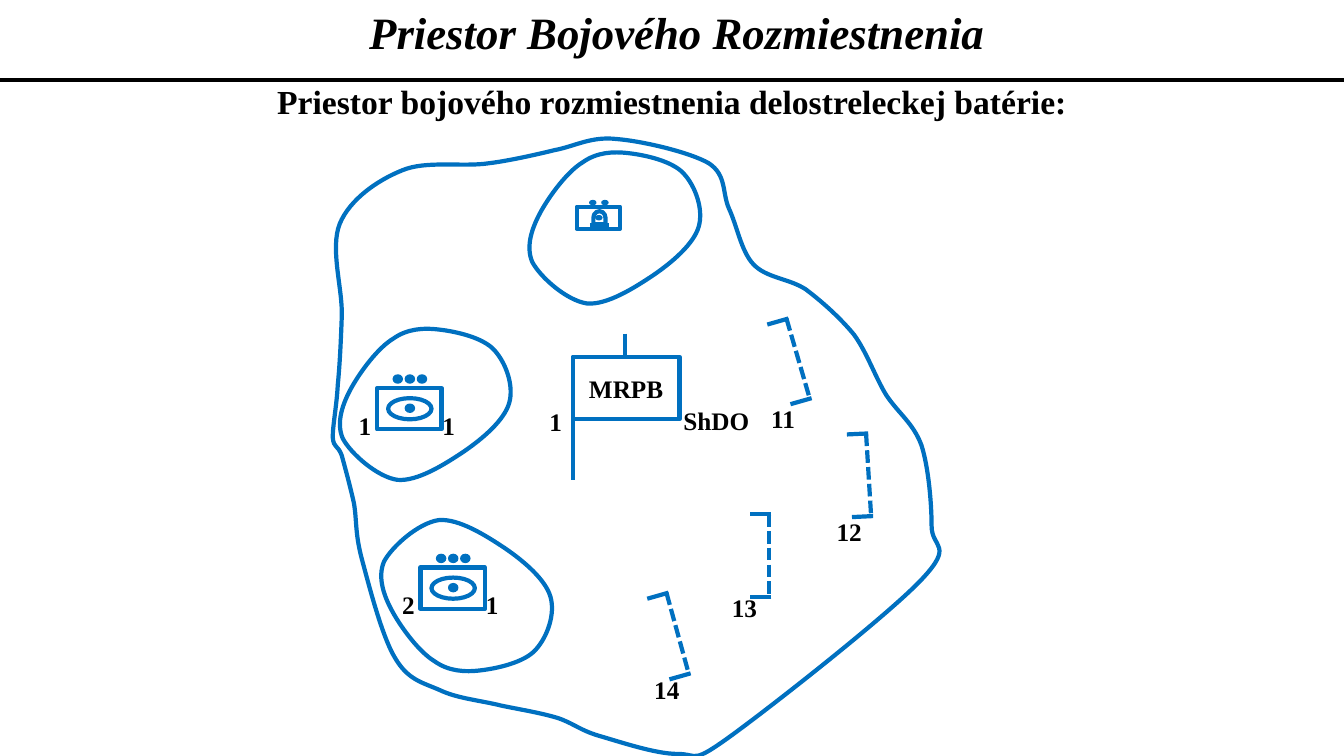
"""Builds the slide on the deployment area of an artillery battery, on a grid of 1/100 inch."""
from lxml import etree
from pptx import Presentation
from pptx import util as u
from pptx.dml.color import RGBColor
from pptx.enum import dml, shapes, text
from pptx.oxml.ns import qn

GRID = u.Inches(1) // 100
WIDTH, HEIGHT = 1333, 750
BLUE, BLACK = "0070C0", "000000"
FONT = "Times New Roman"
KIND = shapes.MSO_SHAPE

TITLE = "Priestor Bojového Rozmiestnenia"
SUBTITLE = "Priestor bojového rozmiestnenia delostreleckej batérie:"
POST, POST_NUMBER, POST_ROLE = "MRPB", "1", "ShDO"

# label, label corner, top of the barrel line, its run and fall, drop of the end ticks
GUNS = [
    ("11", (755, 395), (780, 316), (23, 79), 6),
    ("12", (820, 507), (859, 430), (5, 82), 1),
    ("13", (716, 583), (763, 510), (0, 82), 0),
    ("14", (639, 664), (661, 588), (22, 80), 6),
]
PLATOONS = [("1", "1", (374, 385)), ("2", "1", (417, 563))]
SUPPLY = (572, 205)
HEADQUARTERS = (568, 354)

ZONE_SIZE = (170, 149)
ZONES = [((378, 516), False), ((337, 327), True), ((525, 152), True)]
ZONE_CURVE = [
    (3, 41), (11, 26), (37, 3), (57, 0), (77, -2), (105, 16), (123, 28),
    (142, 41), (163, 59), (168, 76), (173, 93), (165, 116), (153, 129),
    (142, 141), (116, 147), (99, 149), (83, 151), (67, 150), (53, 140),
    (38, 131), (21, 108), (12, 92), (3, 76), (-4, 57), (3, 41),
]
AREA_CORNER, AREA_SIZE = (330, 137), (602, 613)
AREA_CURVE = [
    (337, 222), (347, 198), (374, 179), (399, 169), (423, 159), (459, 166), (485, 162),
    (510, 159), (550, 149), (550, 149), (571, 145), (586, 135), (612, 138),
    (637, 140), (684, 151), (703, 162), (721, 174), (716, 191), (723, 207),
    (731, 224), (735, 249), (747, 262), (760, 276), (782, 276), (799, 287),
    (815, 299), (833, 315), (847, 332), (860, 350), (868, 374), (879, 392),
    (891, 410), (906, 420), (914, 442), (921, 464), (924, 500), (924, 522),
    (924, 544), (947, 540), (914, 575), (881, 610), (765, 701), (725, 730),
    (685, 759), (693, 748), (672, 748), (650, 748), (615, 736), (594, 730),
    (574, 724), (568, 717), (552, 712), (535, 707), (516, 704), (497, 700),
    (477, 695), (454, 693), (437, 685), (419, 677), (405, 675), (392, 653),
    (379, 632), (366, 581), (359, 555), (352, 529), (354, 516), (351, 499),
    (347, 481), (342, 463), (339, 452), (335, 441), (331, 445), (330, 434),
    (330, 422), (334, 402), (335, 382), (337, 362), (338, 341), (339, 314),
    (340, 287), (327, 247), (337, 222),
]


def color(value):
    return RGBColor.from_string(value)


def place(*lengths):
    return [u.Emu(round(length * GRID)) for length in lengths]


def stroke(item, points=3, value=BLUE):
    item.line.color.rgb = color(value)
    item.line.width = u.Pt(points)


def line(parent, start, end, value=BLUE, dashed=False):
    rule = parent.add_connector(shapes.MSO_CONNECTOR.STRAIGHT, *place(*start, *end))
    stroke(rule, value=value)
    if dashed:
        rule.line.dash_style = dml.MSO_LINE.SQUARE_DOT
    etree.SubElement(rule._element.spPr, qn("a:effectLst"))


def figure(parent, kind, left, top, width, height, solid=False):
    item = parent.add_shape(kind, *place(left, top, width, height))
    item.shadow.inherit = False
    if solid:
        item.fill.solid()
        item.fill.fore_color.rgb = color(BLUE)
    else:
        item.fill.background()
    stroke(item, 1 if solid else 3)
    return item


def write(item, words, size=18, align=text.PP_ALIGN.LEFT, italic=False):
    frame = item.text_frame
    frame.text = words
    frame.word_wrap = True
    frame.paragraphs[0].alignment = align
    font = frame.paragraphs[0].runs[0].font
    font.name, font.size, font.bold = FONT, u.Pt(size), True
    font.italic = italic
    font.color.rgb = color(BLACK)
    return frame


def label(parent, words, left, top, width=53, height=42, **style):
    frame = write(parent.add_textbox(*place(left, top, width, height)), words, **style)
    frame.auto_size = text.MSO_AUTO_SIZE.SHAPE_TO_FIT_TEXT
    return frame


def outline(parent, corner, size, curve):
    (left, top), (width, height) = corner, size
    builder = parent.build_freeform(left, top, scale=GRID)
    builder.add_line_segments([(left + width, top + height)])
    item = builder.convert_to_shape()
    item.shadow.inherit = False
    item.fill.background()
    stroke(item)
    trace = next(item._element.iter(qn("a:path")))
    for child in list(trace):
        trace.remove(child)
    steps = [("a:moveTo", curve[:1])]
    steps += [("a:cubicBezTo", curve[i:i + 3]) for i in range(1, len(curve), 3)]
    for tag, points in steps:
        step = etree.SubElement(trace, qn(tag))
        for x, y in points:
            etree.SubElement(step, qn("a:pt"), x=str(x), y=str(y))
    etree.SubElement(trace, qn("a:close"))


def gun(canvas, number, corner, top, fall, drop):
    (x, y), (dx, dy) = top, fall
    group = canvas.add_group_shape().shapes
    line(group, top, (x + dx, y + dy), dashed=True)
    for tick_x, tick_y in (top, (x + dx, y + dy)):
        line(group, (tick_x + 2, tick_y), (tick_x - 19, tick_y + drop))
    label(canvas, number, *corner, height=40)


def supply(canvas, x, y):
    group = canvas.add_group_shape().shapes
    figure(group, KIND.RECTANGLE, x, y, 43, 22)
    for dx, dy in ((19, 9), (25, -6), (13, -6)):
        figure(group, KIND.OVAL, x + dx, y + dy, 6, 4, solid=True)
    line(group, (x + 13, y + 18), (x + 32, y + 18))
    figure(group, KIND.FLOWCHART_DELAY, x + 16, y + 5, 13, 12).rotation = 270


def headquarters(canvas, x, y):
    group = canvas.add_group_shape().shapes
    flag = write(figure(group, KIND.RECTANGLE, x, y, 106, 62), POST, align=text.PP_ALIGN.CENTER)
    flag.vertical_anchor = text.MSO_ANCHOR.MIDDLE
    line(group, (x, y + 31), (x, y + 122))
    line(group, (x + 52, y - 23), (x + 52, y - 2))
    label(group, POST_NUMBER, x - 33, y + 44)
    label(group, POST_ROLE, x + 100, y + 43, width=114)


def platoon(canvas, number, battery, x, y):
    group = canvas.add_group_shape().shapes
    figure(group, KIND.RECTANGLE, x, y, 64, 41)
    figure(group, KIND.OVAL, x + 11, y + 10, 43, 21)
    for dx, dy in ((28, 16), (28, -13), (40, -13), (16, -13)):
        figure(group, KIND.OVAL, x + dx, y + dy, 9, 8, solid=True)
    label(group, number, x - 28, y + 17)
    label(group, battery, x + 55, y + 17)


def main():
    deck = Presentation()
    deck.slide_width, deck.slide_height = place(WIDTH, HEIGHT)
    canvas = deck.slides.add_slide(deck.slide_layouts[6]).shapes
    line(canvas, (0, 79), (WIDTH, 79), value=BLACK)
    title = label(canvas, TITLE, 0, 0, WIDTH, 64, size=32, align=text.PP_ALIGN.CENTER, italic=True)
    title.paragraphs[0]._p.get_or_add_pPr().set("marL", str(10 * GRID))
    subtitle = label(canvas, SUBTITLE, 0, 80, WIDTH, 40, size=24, align=text.PP_ALIGN.CENTER)
    subtitle.margin_left = subtitle.margin_right = subtitle.margin_top = subtitle.margin_bottom = 0
    for entry in GUNS:
        gun(canvas, *entry)
    for corner, flipped in ZONES:
        curve = [(x, ZONE_SIZE[1] - y if flipped else y) for x, y in ZONE_CURVE]
        outline(canvas, corner, ZONE_SIZE, curve)
    supply(canvas, *SUPPLY)
    headquarters(canvas, *HEADQUARTERS)
    for number, battery, corner in PLATOONS:
        platoon(canvas, number, battery, *corner)
    left, top = AREA_CORNER
    outline(canvas, AREA_CORNER, AREA_SIZE, [(x - left, y - top) for x, y in AREA_CURVE])
    deck.save("out.pptx")


if __name__ == "__main__":
    main()
